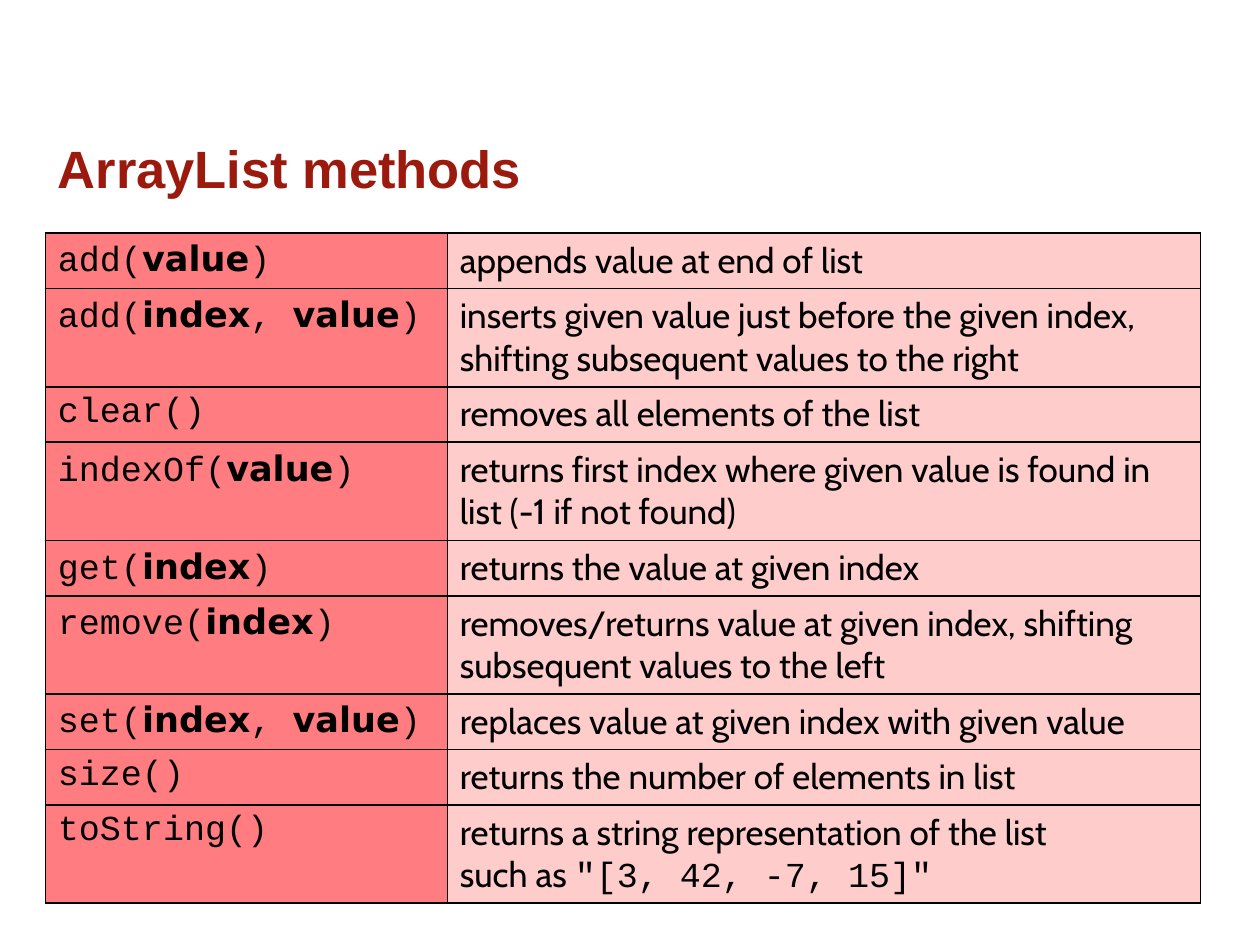
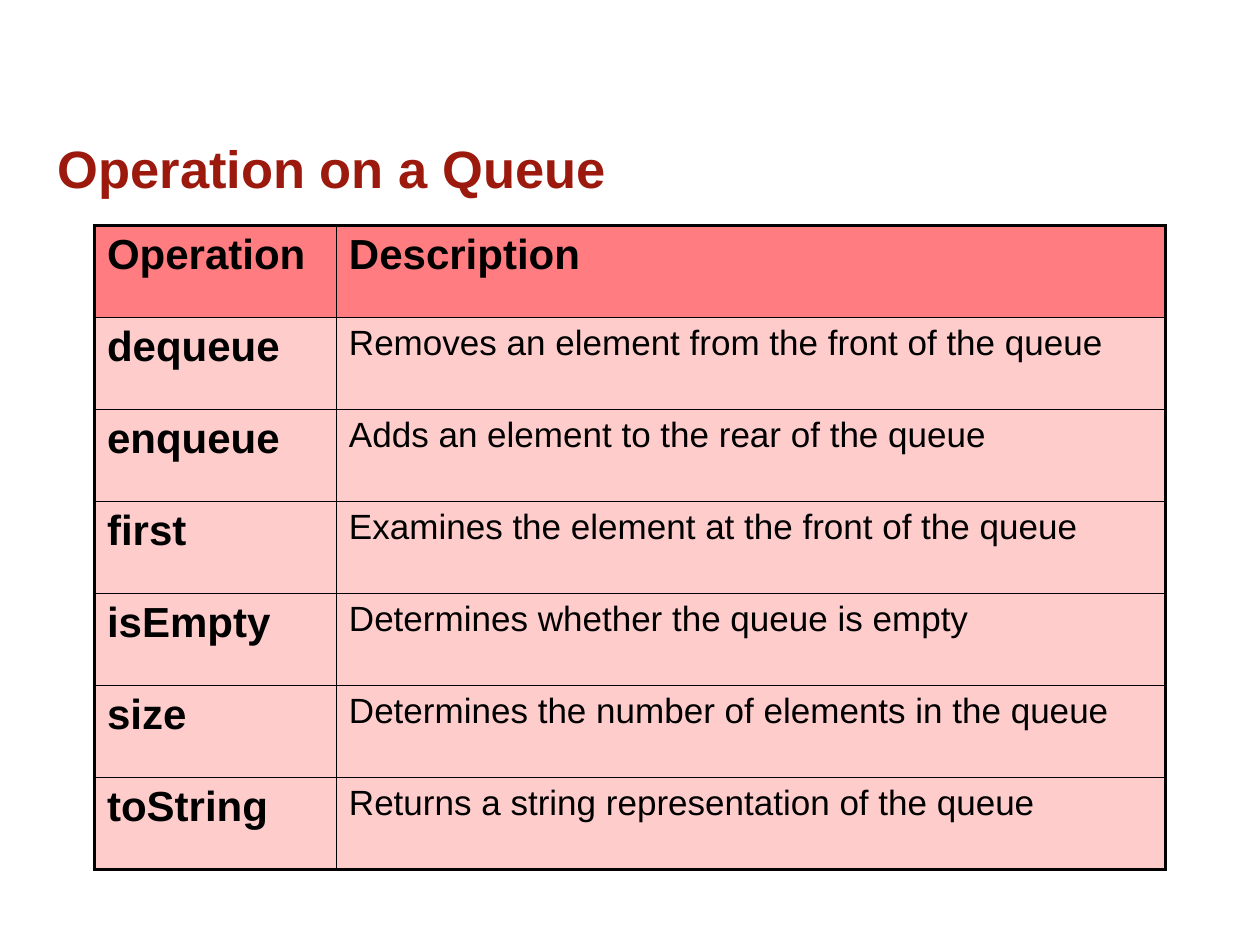
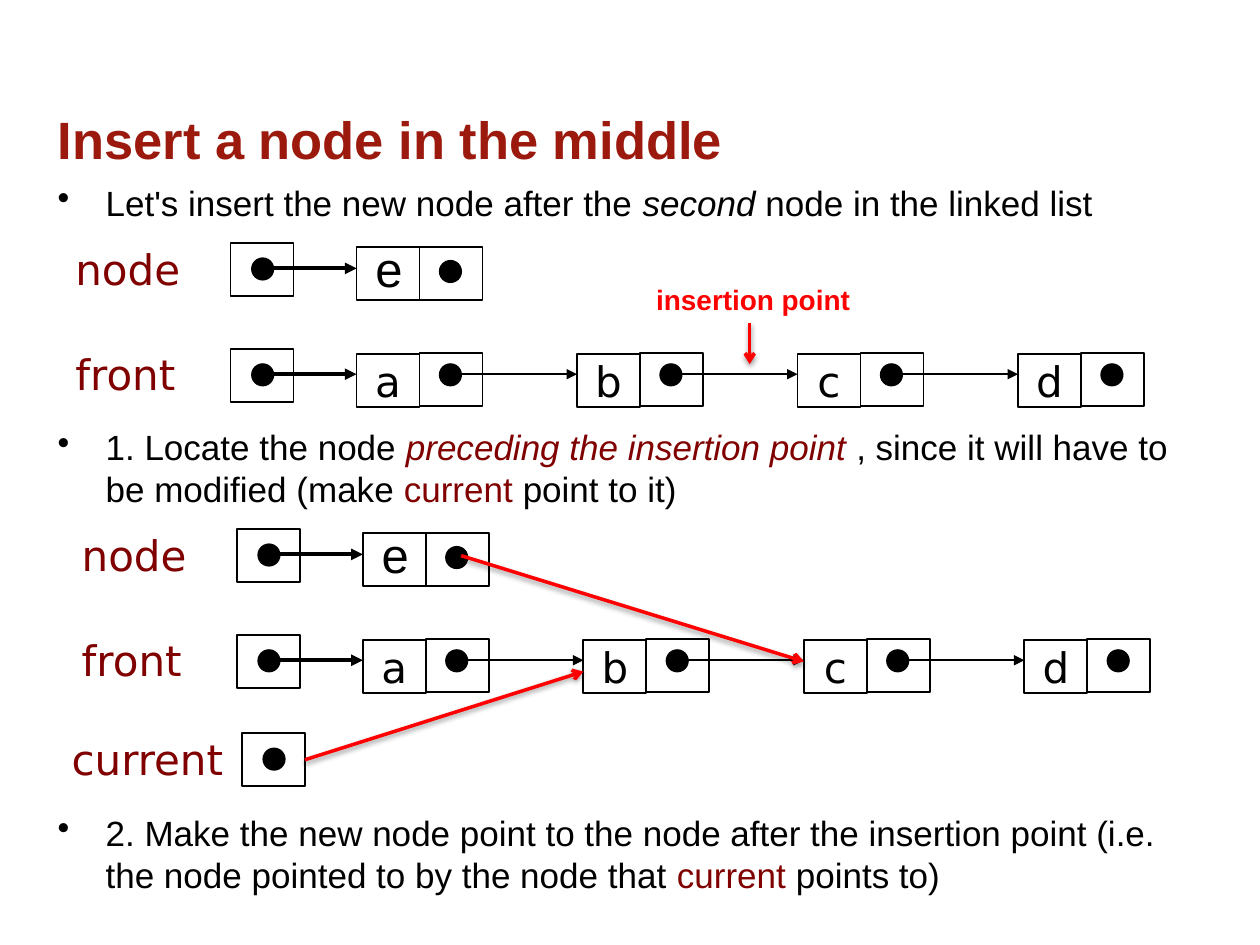
from lxml import etree
from pptx import Presentation
from pptx.dml.color import RGBColor
from pptx.enum.shapes import MSO_CONNECTOR, MSO_SHAPE
from pptx.enum.text import MSO_ANCHOR, PP_ALIGN
from pptx.oxml import parse_xml
from pptx.oxml.ns import nsdecls, qn
from pptx.util import Inches, Pt

STRAIGHT = MSO_CONNECTOR.STRAIGHT
RECTANGLE, OVAL = MSO_SHAPE.RECTANGLE, MSO_SHAPE.OVAL
MIDDLE, CENTER = MSO_ANCHOR.MIDDLE, PP_ALIGN.CENTER
RIGHT_SIDE = 3

BLACK, RED, DARK_RED = "000000", "FF0000", "800000"
STRONG_PINK, PALE_PINK = "FF7C80", "FFCCCC"
THIN, THICK = 1, 2.25

TITLE = dict(name="Arial", size=Pt(30), bold=True, color="9C190D")
BODY = dict(name="Arial", size=Pt(20), color=BLACK)
CODE = dict(BODY, name="Courier New", bold=False)
PARAMETER = dict(BODY, name="DejaVu Sans", bold=True)
MEANING = dict(BODY, name="Cabin")
HEADING = dict(BODY, size=Pt(24), bold=True)
TERM = dict(BODY, color=DARK_RED)
VARIABLE = dict(name="DejaVu Sans", size=Pt(24), color=DARK_RED)
LETTER = dict(VARIABLE, color=BLACK)
NEW_LETTER = dict(BODY, size=Pt(28))
CALLOUT = dict(name="Arial", size=Pt(16), bold=True, color=RED)


def write(frame, text, plain, *accents):
    """Fill the frame; parts between bars take the accents in turn."""
    for number, line in enumerate(text.split("\n")):
        paragraph = frame.add_paragraph() if number else frame.paragraphs[0]
        for i, part in enumerate(line.split("|")):
            if not part:
                continue
            style = accents[i // 2 % len(accents)] if i % 2 else plain
            run = paragraph.add_run()
            run.text = part
            for key, value in style.items():
                if key == "color":
                    run.font.color.rgb = RGBColor.from_string(value)
                else:
                    setattr(run.font, key, value)


def add_text(slide, place, text, plain, *accents, wrap=True):
    frame = slide.shapes.add_textbox(*map(Inches, place)).text_frame
    frame.word_wrap = wrap
    write(frame, text, plain, *accents)
    return frame


deck = Presentation()
deck.slide_width, deck.slide_height = Inches(10), Inches(7.5)
blank = deck.slide_layouts[6]

# Titles
slides = []
for title, top in [("ArrayList methods", 0.99), ("Operation on a Queue", 0.99),
                   ("Insert a node in the middle", 0.76)]:
    slide = deck.slides.add_slide(blank)
    add_text(slide, (0.36, top, 9.28, 0.72), title, TITLE).margin_top = Inches(0.09)
    slides.append(slide)
methods_slide, queue_slide, insert_slide = slides

# Reference tables
methods = [
    ("add(|value|)", "appends value at end of list"),
    ("add(|index|, |value|)", "inserts given value just before the given index, "
                              "shifting subsequent values to the right"),
    ("clear()", "removes all elements of the list"),
    ("indexOf(|value|)", "returns first index where given value is found in list (-1 if not found)"),
    ("get(|index|)", "returns the value at given index"),
    ("remove(|index|)", "removes/returns value at given index, shifting subsequent values to the left"),
    ("set(|index|, |value|)", "replaces value at given index with given value"),
    ("size()", "returns the number of elements in list"),
    ("toString()", 'returns a string representation of the list\nsuch as |"[3, 42, -7, 15]"|'),
]
operations = [
    ("Operation", "Description"),
    ("dequeue", "Removes an element from the front of the queue"),
    ("enqueue", "Adds an element to the rear of the queue"),
    ("first", "Examines the element at the front of the queue"),
    ("isEmpty", "Determines whether the queue is empty"),
    ("size", "Determines the number of elements in the queue"),
    ("toString", "Returns a string representation of the queue"),
]
method_heights = [0.78 if len(meaning) > 50 else 0.44 for _, meaning in methods]
tables = [
    (methods_slide, methods, (0.36, 1.85), (3.19, 5.98), method_heights, THIN),
    (queue_slide, operations, (0.75, 1.79), (1.92, 6.58), [0.73] * len(operations), THICK),
]
for slide, rows, corner, widths, heights, frame_width in tables:
    size = sum(widths), sum(heights)
    table = slide.shapes.add_table(len(rows), 2, *map(Inches, corner + size)).table
    table.first_row = table.horz_banding = False
    for column, width in zip(table.columns, widths):
        column.width = Inches(width)
    for r, row in enumerate(rows):
        table.rows[r].height = Inches(heights[r])
        for c, text in enumerate(row):
            cell = table.cell(r, c)
            if rows is methods:
                styles = (MEANING, CODE) if c else (CODE, PARAMETER)
                strong = c == 0
            else:
                styles = (BODY,) if c and r else (HEADING,)
                strong = r == 0
            write(cell.text_frame, text, *styles)
            cell.fill.solid()
            cell.fill.fore_color.rgb = RGBColor.from_string(STRONG_PINK if strong else PALE_PINK)
            outer_sides = {"L": c == 0, "R": c == 1, "T": r == 0, "B": r == len(rows) - 1}
            properties = cell._tc.get_or_add_tcPr()
            for position, (side, outer) in enumerate(outer_sides.items()):
                width = Pt(frame_width if outer else THIN)
                properties.insert(position, parse_xml(
                    f'<a:ln{side} {nsdecls("a")} w="{width}"><a:solidFill>'
                    f'<a:srgbClr val="{BLACK}"/></a:solidFill></a:ln{side}>'))

# Steps of the insertion
steps = [
    (1.39, "Let's insert the new node after the |second |node in the linked list",
     [dict(BODY, italic=True)]),
    (3.33, "1. Locate the node |preceding the insertion point |, since it will have to be "
           "modified (make |current |point to it)", [dict(TERM, italic=True), TERM]),
    (6.39, "2. Make the new node point to the node after the insertion point (i.e. the node "
           "pointed to by the node that |current |points to)", [TERM]),
]
for top, text, accents in steps:
    frame = add_text(insert_slide, (0.36, top, 9.28, 0.75), text, BODY, *accents)
    properties = frame.paragraphs[0]._p.get_or_add_pPr()
    properties.set("marL", str(Inches(0.38)))
    properties.set("indent", str(Inches(-0.38)))
    etree.SubElement(properties, qn("a:buChar")).set("char", "•")

# Linked list before the insertion and while it is made
BOX_W, BOX_H, DOT = 0.5, 0.42, 0.17
NODE_STEP = 1.75
boxes, dots, arrows = [], [], []
for left, top in [(2.83, 2.8), (2.88, 5.07)]:
    new_top = top - 0.84
    for i, letter in enumerate("abcd"):
        x = left + i * NODE_STEP
        boxes += [(x, top + 0.01, letter), (x + BOX_W, top, "")]
        dots.append((x + 0.66, top + 0.09))
        if letter != "d":
            arrows.append(((x + 0.75, top + 0.17), (x + NODE_STEP, top + 0.17), THIN))
    boxes += [(left, new_top, ""), (left + BOX_W, new_top, "")]
    dots.append((left + 0.66, new_top + 0.11))
    add_text(insert_slide, (left + 0.05, new_top - 0.12, 0.42, 0.57), "e", NEW_LETTER, wrap=False)
    for variable, y in [("node", new_top), ("front", top)]:
        add_text(insert_slide, (left - 2.33, y - 0.08, 1.42, 0.5), variable, VARIABLE)
        boxes.append((left - 1, y - 0.03, ""))
        dots.append((left - 0.83, y + 0.09))
        arrows.append(((left - 0.67, y + 0.17), (left, y + 0.17), THICK))

add_text(insert_slide, (0.47, 5.77, 1.42, 0.5), "current", VARIABLE)
boxes.append((1.92, 5.82, ""))
dots.append((2.09, 5.94))
add_text(insert_slide, (5.11, 2.19, 2.13, 0.37), "insertion point", CALLOUT)

outlines = [(RECTANGLE, x, y, BOX_W, BOX_H, letter) for x, y, letter in boxes]
outlines += [(OVAL, x, y, DOT, DOT, "") for x, y in dots]
for kind, x, y, width, height, letter in outlines:
    part = insert_slide.shapes.add_shape(kind, *map(Inches, (x, y, width, height)))
    part.shadow.inherit = False
    part.line.color.rgb = RGBColor.from_string(BLACK)
    part.line.width = Pt(THIN)
    if kind == OVAL:
        part.fill.solid()
        part.fill.fore_color.rgb = RGBColor.from_string(BLACK)
    else:
        part.fill.background()
        current_box = part
    if letter:
        frame = part.text_frame
        frame.word_wrap = False
        frame.vertical_anchor = MIDDLE
        frame.paragraphs[0].alignment = CENTER
        write(frame, letter, LETTER)

# Links in black, changes in red
changes = [((5.95, 2.56), (5.95, 2.89)), ((2.42, 6.03), (4.63, 5.33)), ((3.66, 4.41), (6.38, 5.25))]
links = [(start, end, width, BLACK, "triangle") for start, end, width in arrows]
links += [(start, end, 2, RED, "arrow") for start, end in changes]
for start, end, width, color, head in links:
    link = insert_slide.shapes.add_connector(STRAIGHT, *map(Inches, start + end))
    link.line.width = Pt(width)
    link.line.color.rgb = RGBColor.from_string(color)
    if start == (2.42, 6.03):
        link.begin_connect(current_box, RIGHT_SIDE)
    etree.SubElement(link.line._get_or_add_ln(), qn("a:tailEnd")).set("type", head)
    shadow = ""
    if color == RED:
        shadow = (f'<a:outerShdw blurRad="{Pt(3.1)}" dist="{Pt(1.6)}" dir="5400000">'
                  f'<a:srgbClr val="{BLACK}"><a:alpha val="38000"/></a:srgbClr></a:outerShdw>')
    link._element.spPr.append(parse_xml(f'<a:effectLst {nsdecls("a")}>{shadow}</a:effectLst>'))

deck.save("out.pptx")
